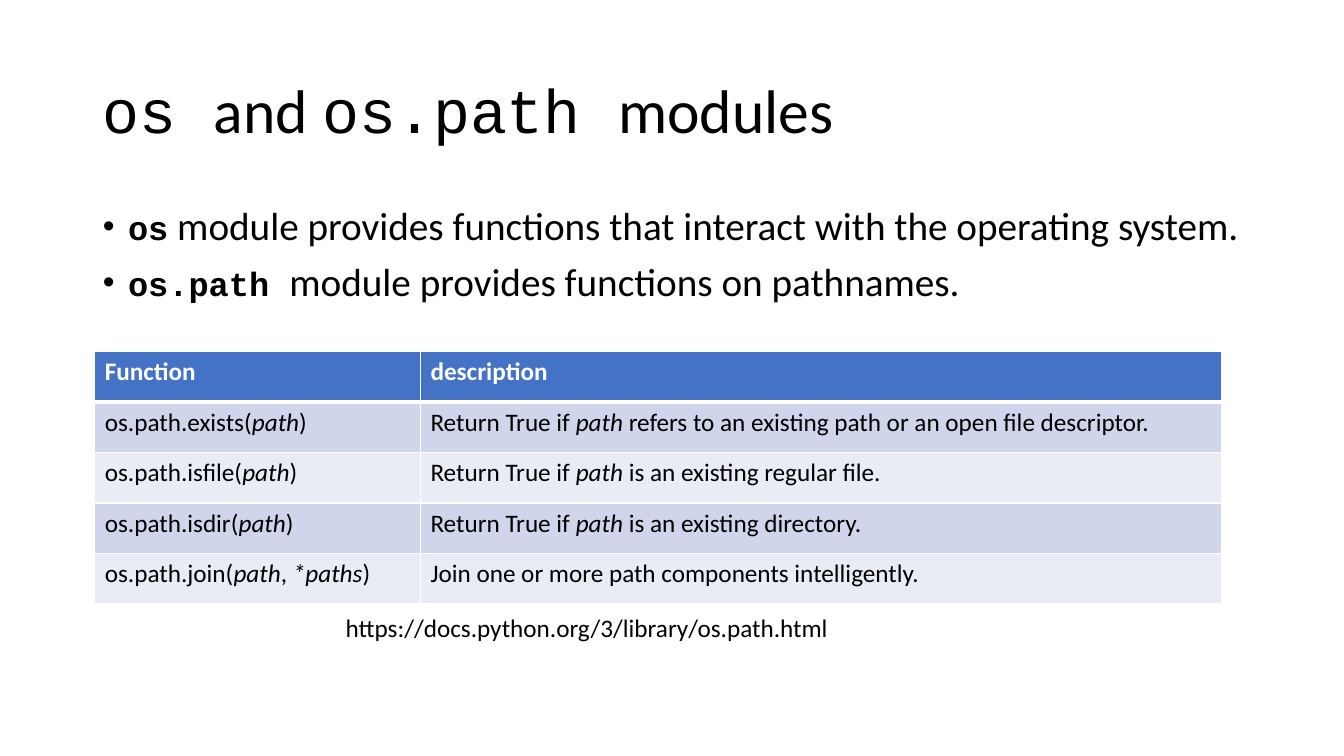
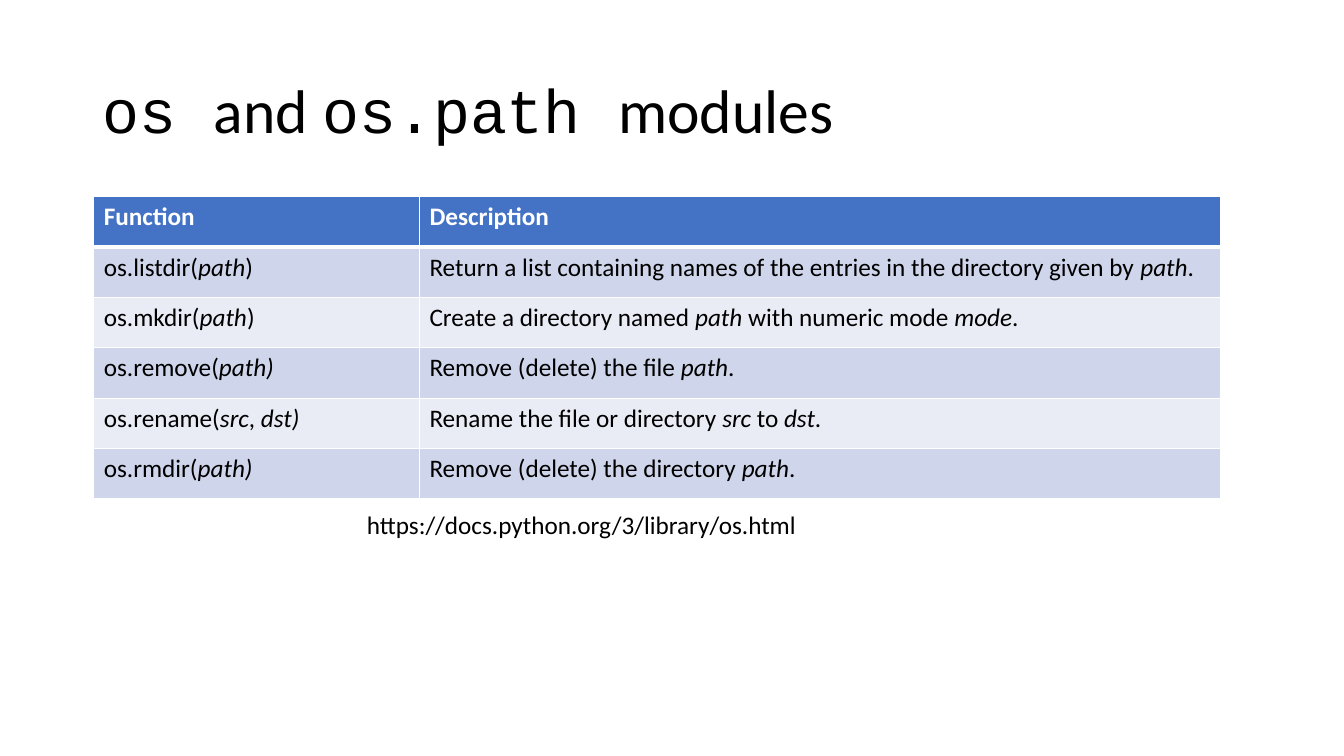
from dataclasses import dataclass

from lxml import etree
from pptx import Presentation
from pptx.dml.color import RGBColor as RGB
from pptx.enum.text import MSO_ANCHOR, MSO_AUTO_SIZE, PP_ALIGN
from pptx.oxml.ns import qn
from pptx.util import Inches, Pt


@dataclass(frozen=True)
class Theme:
    font: str = "Calibri"
    mono: str = "Courier New"
    text: RGB = RGB(0x00, 0x00, 0x00)
    white: RGB = RGB(0xFF, 0xFF, 0xFF)
    header: RGB = RGB(0x44, 0x72, 0xC4)
    bands: tuple = (RGB(0xCF, 0xD5, 0xEA), RGB(0xE9, 0xEB, 0xF5))
    title_size: int = 44
    body_size: int = 28
    code_size: int = 24
    small_size: int = 18


@dataclass(frozen=True)
class FunctionTable:
    left: float
    top: float
    rows: tuple[tuple[str, str], ...]


@dataclass(frozen=True)
class Page:
    table: FunctionTable
    url: str
    url_left: float
    url_top: float
    bullets: tuple[str, ...] = ()


T = Theme()
TITLE_ONLY, TITLE_AND_CONTENT = 5, 1
TITLE = "`os `and `os.path `modules"
COL_WIDTHS = (3.23, 7.95)
ROW_HEIGHT = 0.5

# In the texts, `x` marks code and _x_ marks italics.
PAGES = (
    Page(
        table=FunctionTable(0.94, 3.49, (
            ("Function", "description"),
            ("os.path.exists(_path_)",
             "Return True if _path_ refers to an existing path or an open file descriptor."),
            ("os.path.isfile(_path_)", "Return True if _path_ is an existing regular file."),
            ("os.path.isdir(_path_)", "Return True if _path_ is an existing directory."),
            ("os.path.join(_path_, _*paths_)", "Join one or more path components intelligently."),
        )),
        url="https://docs.python.org/3/library/os.path.html",
        url_left=3.33,
        url_top=6.03,
        bullets=(
            "`os` module provides functions that interact with the operating system.",
            "`os.path `module provides functions on pathnames.",
        ),
    ),
    Page(
        table=FunctionTable(0.93, 1.95, (
            ("Function", "Description"),
            ("os.listdir(_path_)",
             "Return a list containing names of the entries in the directory given by _path_."),
            ("os.mkdir(_path_)", "Create a directory named _path_ with numeric mode _mode_."),
            ("os.remove(_path)_", "Remove (delete) the file _path_."),
            ("os.rename(_src_, _dst)_", "Rename the file or directory _src_ to _dst_."),
            ("os.rmdir(_path)_", "Remove (delete) the directory _path_."),
        )),
        url="https://docs.python.org/3/library/os.html",
        url_left=3.54,
        url_top=5,
    ),
)


# Text
def add_text(p, text: str, *, size: int, color: RGB = T.text, bold: bool = False,
             code_size: int | None = None, code_bold: bool = False) -> None:
    """Write marked-up text as runs of one paragraph."""
    for i, code_part in enumerate(text.split("`")):
        code = i % 2 == 1
        for j, part in enumerate(code_part.split("_")):
            if not part:
                continue
            r = p.add_run()
            r.text = part
            r.font.name = T.mono if code else T.font
            r.font.size = Pt(code_size if code and code_size else size)
            r.font.bold = code_bold if code else bold
            r.font.italic = j % 2 == 1
            r.font.color.rgb = color


def place(sp, left: float, top: float, width: float, height: float) -> None:
    sp.left, sp.top = Inches(left), Inches(top)
    sp.width, sp.height = Inches(width), Inches(height)


def add_bullet(p) -> None:
    pPr = p._p.get_or_add_pPr()
    pPr.set("marL", str(Inches(0.25)))
    pPr.set("indent", str(-Inches(0.25)))
    etree.SubElement(pPr, qn("a:buFont"), typeface="Arial")
    etree.SubElement(pPr, qn("a:buChar"), char="•")


def set_title(s) -> None:
    sp = s.shapes.title
    place(sp, 0.92, 0.4, 11.5, 1.45)
    tf = sp.text_frame
    tf.auto_size = MSO_AUTO_SIZE.NONE
    tf.vertical_anchor = MSO_ANCHOR.MIDDLE
    p = tf.paragraphs[0]
    p.alignment = PP_ALIGN.LEFT
    p.line_spacing = 0.9
    add_text(p, TITLE, size=T.title_size)


def set_bullets(s, bullets: tuple[str, ...]) -> None:
    sp = s.placeholders[1]
    place(sp, 0.92, 2, 11.5, 4.76)
    tf = sp.text_frame
    tf.auto_size = MSO_AUTO_SIZE.NONE
    for i, text in enumerate(bullets):
        p = tf.add_paragraph() if i else tf.paragraphs[0]
        add_bullet(p)
        p.line_spacing = 0.9
        p.space_before = Pt(10 if i else 0)
        add_text(p, text, size=T.body_size, code_size=T.code_size, code_bold=True)


# Table
def add_borders(cell, **widths: int) -> None:
    tcPr = cell._tc.get_or_add_tcPr()
    for side in ("L", "R", "T", "B"):
        ln = etree.SubElement(tcPr, qn(f"a:ln{side}"), w=str(Pt(widths.get(side, 1))))
        fill = etree.SubElement(ln, qn("a:solidFill"))
        etree.SubElement(fill, qn("a:srgbClr"), val=str(T.white))


def add_function_table(s, table: FunctionTable) -> None:
    n = len(table.rows)
    tbl = s.shapes.add_table(n, len(COL_WIDTHS), Inches(table.left), Inches(table.top),
                             Inches(sum(COL_WIDTHS)), Inches(n * ROW_HEIGHT)).table
    for col, width in zip(tbl.columns, COL_WIDTHS):
        col.width = Inches(width)
    for i, texts in enumerate(table.rows):
        header = i == 0
        tbl.rows[i].height = Inches(ROW_HEIGHT)
        for j, text in enumerate(texts):
            cell = tbl.cell(i, j)
            # The thick rule under the header is shared with the first body row
            add_borders(cell, T=3 if i == 1 else 1, B=3 if header else 1)
            cell.fill.solid()
            cell.fill.fore_color.rgb = T.header if header else T.bands[(i - 1) % 2]
            add_text(cell.text_frame.paragraphs[0], text, size=T.small_size,
                     color=T.white if header else T.text, bold=header)


# Source link
def add_url(s, text: str, left: float, top: float) -> None:
    tf = s.shapes.add_textbox(Inches(left), Inches(top), Inches(6.67), Inches(0.4)).text_frame
    tf.word_wrap = True
    tf.auto_size = MSO_AUTO_SIZE.SHAPE_TO_FIT_TEXT
    add_text(tf.paragraphs[0], text, size=T.small_size)


def add_page(prs, page: Page) -> None:
    layout = TITLE_AND_CONTENT if page.bullets else TITLE_ONLY
    s = prs.slides.add_slide(prs.slide_layouts[layout])
    set_title(s)
    if page.bullets:
        set_bullets(s, page.bullets)
    add_function_table(s, page.table)
    add_url(s, page.url, page.url_left, page.url_top)


def main() -> None:
    prs = Presentation()
    prs.slide_width, prs.slide_height = Inches(13.33), Inches(7.5)
    for page in PAGES:
        add_page(prs, page)
    prs.save("out.pptx")


if __name__ == "__main__":
    main()
